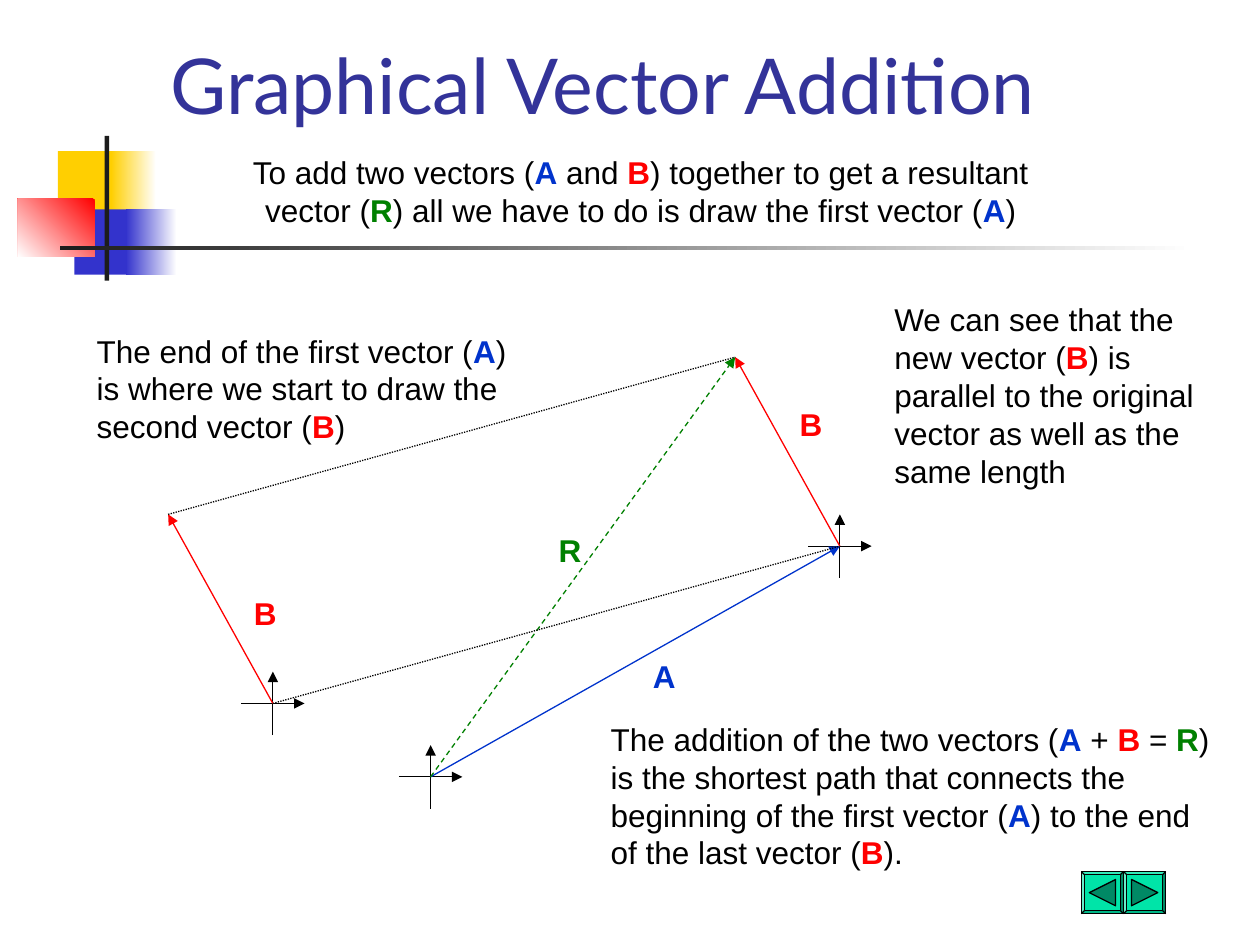
from dataclasses import dataclass
from typing import NamedTuple, Optional

from pptx import Presentation, util as u
from pptx.dml.color import RGBColor
from pptx.enum import dml, shapes, text
from pptx.oxml import ns, xmlchemy as xc


@dataclass(frozen=True)
class Theme:
    """Colours, fonts and type sizes of the slide."""
    ink: str = "000000"
    title: str = "333399"
    white: str = "FFFFFF"
    yellow: str = "FFCF01"
    blue: str = "3333CC"
    red: str = "FF0000"
    dark: str = "1C1C1C"
    key: str = "00E4A8"
    sign: str = "008965"
    head: str = "Lato"
    body: str = "Arial"
    big: float = 44
    small: float = 18
    lead: float = 21.6
    thin: float = 0.74


T = Theme()
HUES = {"A": "0033CC", "B": "FF0000", "R": "008000"}
DASH = dml.MSO_LINE.DASH
DOT = dml.MSO_LINE.ROUND_DOT
KIND = shapes.MSO_SHAPE


class Point(NamedTuple):
    """A place or a step, in centimetres."""
    x: float
    y: float

    def plus(self, step: "Point") -> "Point":
        """Return the point moved by a step."""
        return Point(self.x + step.x, self.y + step.y)


class Block(NamedTuple):
    """A filled rectangle, plain or fading to a second colour."""
    box: tuple
    fill: str
    fade: Optional[str] = None
    angle: float = 180


class Note(NamedTuple):
    """A text box; vector names stand between asterisks."""
    box: tuple
    words: str
    align: text.PP_ALIGN = text.PP_ALIGN.LEFT


class Ray(NamedTuple):
    """A line between two points."""
    start: Point
    end: Point
    hue: str
    dash: Optional[dml.MSO_LINE] = None
    arrow: bool = True


def rgb(hue: str) -> RGBColor:
    """Turn a hex string into a colour."""
    return RGBColor.from_string(hue)


def cms(box: tuple) -> list:
    """Turn numbers into centimetre lengths."""
    return [u.Cm(n) for n in box]


def write(frame, words: str, *, size: float, font: str, hue: str,
          align=text.PP_ALIGN.LEFT, lead: Optional[float] = None) -> None:
    """Fill a text frame, with vector names bold and in their own colour."""
    frame.word_wrap = True
    para = frame.paragraphs[0]
    para.alignment = align
    if lead:
        para.line_spacing = u.Pt(lead)
    for i, part in enumerate(words.split("*")):
        if not part:
            continue
        name = i % 2 == 1
        run = para.add_run()
        run.text = part
        run.font.size = u.Pt(size)
        run.font.name = font
        run.font.bold = name
        run.font.color.rgb = rgb(HUES[part] if name else hue)


def draw_shape(slide, kind, box: tuple, fill: str, line: Optional[str] = None):
    """Draw a preset shape with a flat fill."""
    shape = slide.shapes.add_shape(kind, *cms(box))
    shape.shadow.inherit = False
    shape.fill.solid()
    shape.fill.fore_color.rgb = rgb(fill)
    if line:
        shape.line.color.rgb = rgb(line)
        shape.line.width = u.Pt(T.thin)
    else:
        shape.line.fill.background()
    return shape


def draw_block(slide, block: Block) -> None:
    """Draw a rectangle of the ornament."""
    shape = draw_shape(slide, KIND.RECTANGLE, block.box, block.fill)
    if block.fade:
        shape.fill.gradient()
        shape.fill.gradient_angle = 360 - block.angle
        for stop, hue in zip(shape.fill.gradient_stops, (block.fill, block.fade)):
            stop.color.rgb = rgb(hue)


def draw_note(slide, note: Note) -> None:
    """Draw a text box."""
    frame = slide.shapes.add_textbox(*cms(note.box)).text_frame
    frame.auto_size = text.MSO_AUTO_SIZE.SHAPE_TO_FIT_TEXT
    write(frame, note.words, size=T.small, font=T.body, hue=T.ink,
          align=note.align, lead=T.lead)


def draw_ray(slide, ray: Ray) -> None:
    """Draw a line, with an arrowhead at its end if wanted."""
    line = slide.shapes.add_connector(
        shapes.MSO_CONNECTOR.STRAIGHT, *cms(ray.start + ray.end))
    line.line.color.rgb = rgb(ray.hue)
    line.line.width = u.Pt(T.thin)
    if ray.dash:
        line.line.dash_style = ray.dash
    if ray.arrow:
        tail = xc.OxmlElement("a:tailEnd")
        tail.set("type", "triangle")
        line.line._get_or_add_ln().append(tail)
    line._element.find(ns.qn("p:spPr")).append(xc.OxmlElement("a:effectLst"))


def draw_axes(slide, mid: Point, half: float = 0.64) -> None:
    """Draw a small pair of axes around a point."""
    for start, end in ((Point(0, half), Point(0, -half)),
                       (Point(-half, 0), Point(half, 0))):
        draw_ray(slide, Ray(mid.plus(start), mid.plus(end), T.ink))


def draw_key(slide, left: float, turn: float) -> None:
    """Draw a bevelled button with a turned triangle."""
    top, side, gap = 17.57, 0.85, 0.16
    key = draw_shape(slide, KIND.BEVEL, (left, top, side, side), T.key, T.ink)
    key.adjustments[0] = 0.07
    size = side - 2 * gap
    sign = draw_shape(slide, KIND.ISOSCELES_TRIANGLE,
                      (left + gap, top + gap, size, size), T.sign, T.ink)
    sign.rotation = turn


BLOCKS = [
    Block((1.17, 3.05, 1.22, 1.32), T.yellow),
    Block((2.24, 3.05, 0.91, 1.32), T.white, T.yellow),
    Block((1.5, 4.22, 1.17, 1.32), T.blue),
    Block((2.54, 4.22, 1.02, 1.32), T.white, T.blue),
    Block((0.36, 4.01, 1.55, 1.17), T.red, T.white, 135),
    Block((2.11, 2.74, 0.09, 2.92), T.dark),
    Block((1.22, 4.95, 22.86, 0.09), T.white, T.dark),
]

NOTES = [
    Note((4.45, 2.96, 16.93, 1.78),
         "To add two vectors (*A* and *B*) together to get a resultant vector "
         "(*R*) all we have to do is draw the first vector (*A*)",
         text.PP_ALIGN.CENTER),
    Note((1.7, 6.56, 9.1, 2.54),
         "The end of the first vector (*A*) is where we start to draw the "
         "second vector (*B*)"),
    Note((12.06, 14.39, 12.7, 3.3),
         "The addition of the two vectors (*A* + *B* = *R*) is the shortest "
         "path that connects the beginning of the first vector (*A*) to the "
         "end of the last vector (*B*)."),
    Note((17.78, 5.93, 6.98, 4.06),
         "We can see that the new vector (*B*) is parallel to the original "
         "vector as well as the same length"),
    Note((12.91, 13.12, 1.06, 1.02), "*A*"),
    Note((4.87, 11.85, 0.85, 1.02), "*B*"),
    Note((15.87, 8.04, 0.85, 1.02), "*B*"),
    Note((11.01, 10.58, 1.06, 1.02), "*R*"),
]

VEC_A, VEC_B = Point(8.25, -4.65), Point(-2.11, -3.81)
BASE, FOOT = Point(8.68, 15.66), Point(5.5, 14.18)
TIP_A, TIP_B = BASE.plus(VEC_A), FOOT.plus(VEC_B)
TIP_R = TIP_A.plus(VEC_B)
RAYS = [
    Ray(BASE, TIP_A, HUES["A"]),
    Ray(FOOT, TIP_B, HUES["B"]),
    Ray(BASE, TIP_R, HUES["R"], DASH),
    Ray(TIP_A, TIP_R, HUES["B"]),
    Ray(TIP_B, TIP_R, T.ink, DOT, False),
    Ray(FOOT, TIP_A, T.ink, DOT, False),
]


def main() -> None:
    """Build the slide and save it."""
    deck = Presentation()
    deck.slide_width, deck.slide_height = cms((25.4, 19.05))
    slide = deck.slides.add_slide(deck.slide_layouts[5])
    title = slide.shapes.title
    title.left, title.top, title.width, title.height = cms((3.18, 0.64, 21.64, 2.11))
    title.text_frame.auto_size = text.MSO_AUTO_SIZE.NONE
    title.text_frame.vertical_anchor = text.MSO_ANCHOR.BOTTOM
    write(title.text_frame, "Graphical Vector Addition",
          size=T.big, font=T.head, hue=T.title)
    for block in BLOCKS:
        draw_block(slide, block)
    for left, turn in ((22.65, 90), (21.8, -90)):
        draw_key(slide, left, turn)
    for note in NOTES:
        draw_note(slide, note)
    for mid in (BASE, FOOT, TIP_A):
        draw_axes(slide, mid)
    for ray in RAYS:
        draw_ray(slide, ray)
    deck.save("out.pptx")


main()
